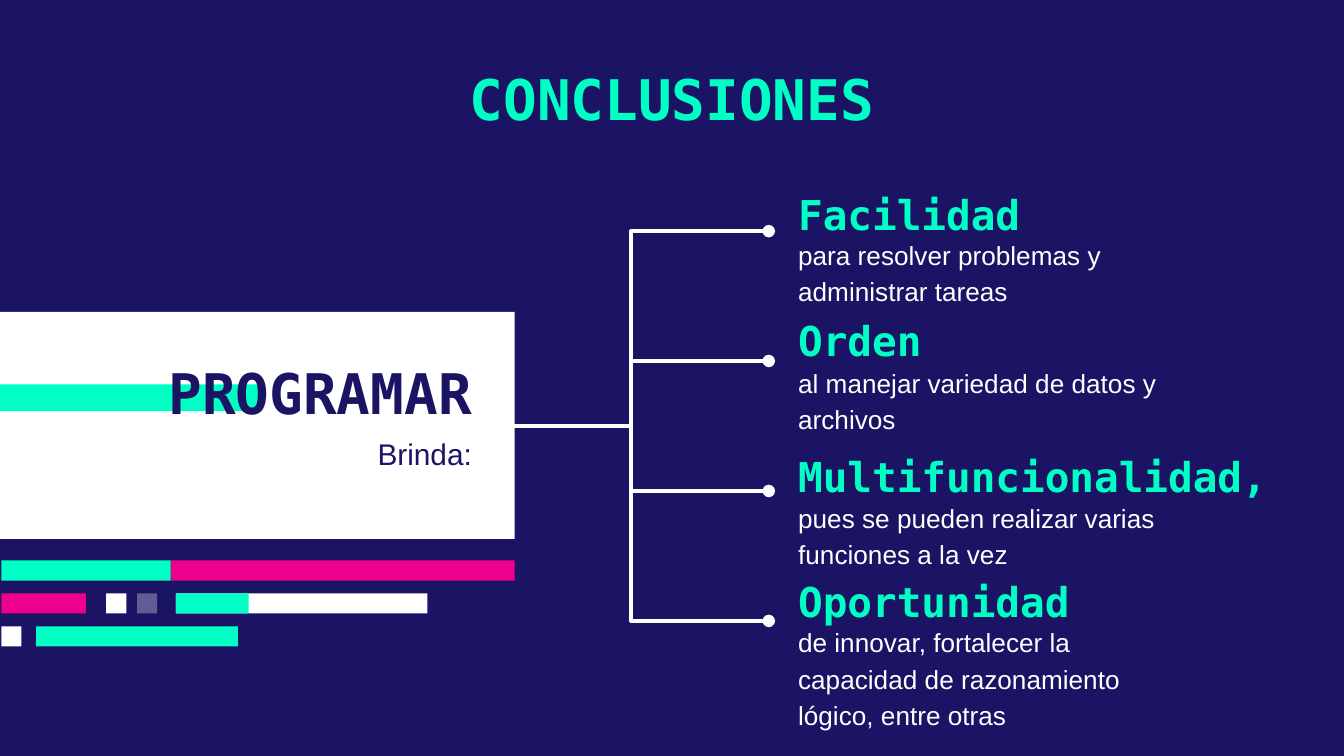
"""Build the conclusions slide: one idea branching into four benefits."""
from dataclasses import dataclass

from pptx import Presentation
from pptx.dml.color import RGBColor
from pptx.enum import shapes, text
from pptx.oxml import ns, xmlchemy
from pptx.util import Inches, Pt


@dataclass(frozen=True)
class Theme:
    navy: str = "1B1464"
    mint: str = "00FFC5"
    pink: str = "EC008C"
    white: str = "FFFFFF"
    heading_font: str = "DejaVu Sans Mono"
    body_font: str = "Arial"
    title_size: int = 30
    heading_size: int = 22
    lead_size: int = 16
    body_size: int = 14
    line_width: float = 2.25


THEME = Theme()
TITLE = "CONCLUSIONES"
TOPIC, LEAD = "PROGRAMAR", "Brinda:"
BENEFITS = [
    ("Facilidad", 1.44, 2.95, "para resolver problemas y administrar tareas", 1.75, 2.95),
    ("Orden", 2.38, 2.95, "al manejar variedad de datos y archivos", 2.7, 2.95),
    ("Multifuncionalidad,", 3.39, 3.89, "pues se pueden realizar varias funciones a la vez", 3.7, 2.95),
    ("Oportunidad", 4.32, 2.95,
     "de innovar, fortalecer la capacidad de razonamiento lógico, entre otras", 4.63, 3.07),
]
BAR_ROWS = [
    [(1.27, 2.56, THEME.pink, 100), (0.01, 1.26, THEME.mint, 100)],
    [
        (1.31, 1.87, THEME.white, 100),
        (1.31, 0.54, THEME.mint, 100),
        (0.01, 0.63, THEME.pink, 100),
        (1.02, 0.15, THEME.white, 31),
        (0.79, 0.15, THEME.white, 100),
    ],
    [(0.01, 0.15, THEME.white, 100), (0.27, 1.5, THEME.mint, 100)],
]
BAR_TOP, BAR_LAST, BAR_HEIGHT = 4.17, 4.66, 0.15
BENEFIT_LEFT, BENEFIT_HEIGHT = 5.84, 0.3
HUB_X, HUB_Y, BRANCH_X = 3.67, 3.17, 5.72
BRANCH_TOP, BRANCH_LAST = 1.72, 4.62


def add_text(slide, content, box, *, size, color, font=THEME.body_font, bold=False,
             align=text.PP_ALIGN.LEFT, anchor=text.MSO_ANCHOR.TOP, inset=0, spacing=None):
    frame = slide.shapes.add_textbox(*map(Inches, box)).text_frame
    frame.word_wrap = True
    frame.vertical_anchor = anchor
    frame.margin_top = frame.margin_bottom = Inches(inset)
    paragraph = frame.paragraphs[0]
    paragraph.alignment = align
    paragraph.line_spacing = spacing
    run = paragraph.add_run()
    run.text = content
    run.font.name, run.font.size, run.font.bold = font, Pt(size), bold
    run.font.color.rgb = RGBColor.from_string(color)


def add_block(slide, box, color, opacity=100):
    shape = slide.shapes.add_shape(shapes.MSO_SHAPE.RECTANGLE, *map(Inches, box))
    shape.shadow.inherit = False
    shape.fill.solid()
    shape.fill.fore_color.rgb = RGBColor.from_string(color)
    shape.line.fill.background()
    if opacity < 100:
        fill_color = shape._element.spPr.find(".//" + ns.qn("a:srgbClr"))
        alpha = xmlchemy.OxmlElement("a:alpha")
        alpha.set("val", str(opacity * 1000))
        fill_color.append(alpha)


def add_branch(slide, end_y):
    points = map(Inches, (HUB_X, HUB_Y, BRANCH_X, end_y))
    connector = slide.shapes.add_connector(shapes.MSO_CONNECTOR.ELBOW, *points)
    connector.line.color.rgb = RGBColor.from_string(THEME.white)
    connector.line.width = Pt(THEME.line_width)
    tail = xmlchemy.OxmlElement("a:tailEnd")
    tail.set("type", "oval")
    connector.line._get_or_add_ln().append(tail)
    connector._element.spPr.append(xmlchemy.OxmlElement("a:effectLst"))


def main():
    presentation = Presentation()
    presentation.slide_width = Inches(10)
    presentation.slide_height = presentation.slide_width * 9 // 16
    slide = presentation.slides.add_slide(presentation.slide_layouts[6])
    slide.background.fill.solid()
    slide.background.fill.fore_color.rgb = RGBColor.from_string(THEME.navy)

    heading = dict(font=THEME.heading_font, bold=True)
    middle, right = text.MSO_ANCHOR.MIDDLE, text.PP_ALIGN.RIGHT

    add_block(slide, (0, 2.32, 3.83, 1.69), THEME.white)
    add_text(slide, TITLE, (1.4, 0.38, 7.2, 0.73), size=THEME.title_size, color=THEME.mint,
             align=text.PP_ALIGN.CENTER, inset=0.1, **heading)
    add_text(slide, LEAD, (0.95, 3.2, 2.66, 0.48), size=THEME.lead_size, color=THEME.navy,
             align=right, spacing=1.15)

    for name, name_top, name_width, detail, detail_top, detail_width in BENEFITS:
        add_text(slide, name, (BENEFIT_LEFT, name_top, name_width, BENEFIT_HEIGHT),
                 size=THEME.heading_size, color=THEME.mint, anchor=middle, **heading)
        add_text(slide, detail, (BENEFIT_LEFT, detail_top, detail_width, BENEFIT_HEIGHT),
                 size=THEME.body_size, color=THEME.white, spacing=1.15)

    add_block(slide, (0, 2.86, 1.95, 0.2), THEME.mint)
    add_text(slide, TOPIC, (0.95, 2.7, 2.66, 0.43), size=THEME.title_size, color=THEME.navy,
             align=right, anchor=middle, **heading)

    bar_step = (BAR_LAST - BAR_TOP) / (len(BAR_ROWS) - 1)
    for row, bars in enumerate(BAR_ROWS):
        for left, width, color, opacity in bars:
            add_block(slide, (left, BAR_TOP + row * bar_step, width, BAR_HEIGHT), color, opacity)

    branch_step = (BRANCH_LAST - BRANCH_TOP) / (len(BENEFITS) - 1)
    for index in range(len(BENEFITS)):
        add_branch(slide, BRANCH_TOP + index * branch_step)

    presentation.save("out.pptx")


if __name__ == "__main__":
    main()
